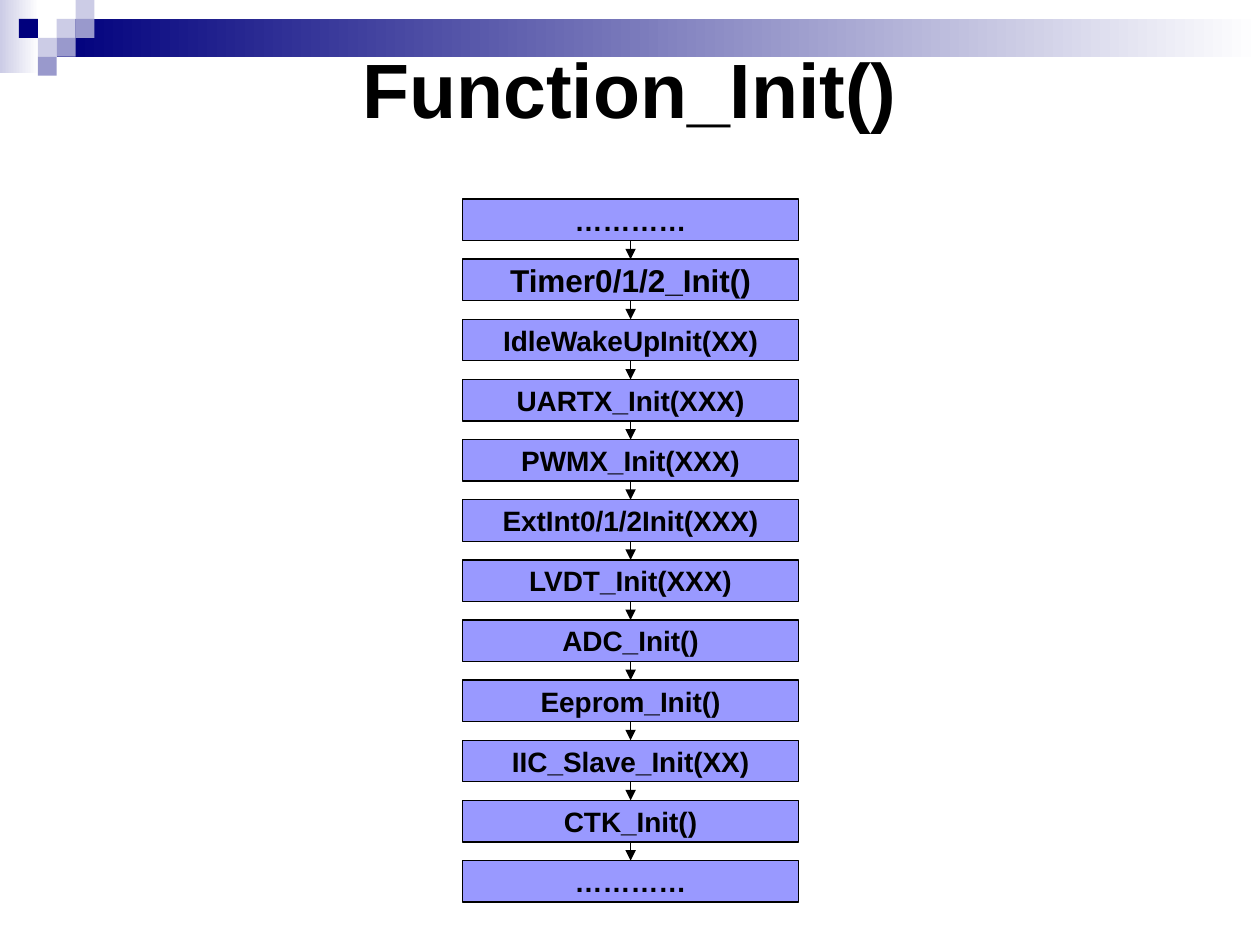
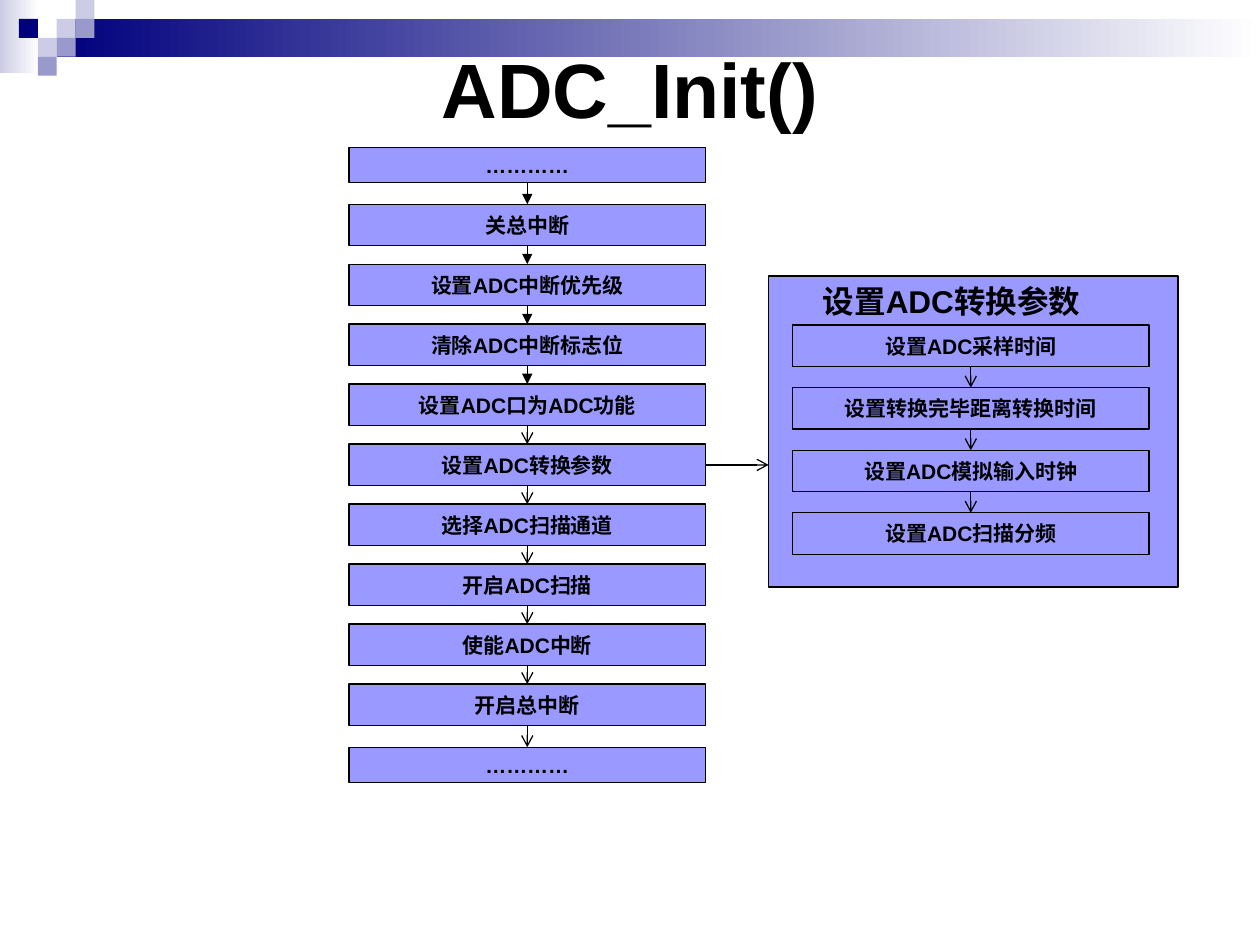
from dataclasses import dataclass
from itertools import pairwise
from lxml.etree import SubElement
from pptx import Presentation
from pptx.dml.color import RGBColor
from pptx.enum.shapes import MSO_CONNECTOR, MSO_SHAPE
from pptx.enum.text import MSO_ANCHOR, PP_ALIGN
from pptx.oxml.ns import qn
from pptx.util import Inches, Pt

COLUMNS, ROWS = 100, 75
WIDTH, HEIGHT = Inches(10), Inches(7.5)
FONT = "Arial"
INK, NAVY, LILAC, MAUVE = "000000", "00007D", "CCCCE6", "9999CC"
STEP_FILL, WHITE = "9999FF", "FFFFFF"
STEP_HEIGHT = 3.3
LINE_WIDTH = Pt(0.75)
TOP, LEFT, BOTTOM, RIGHT = range(4)


@dataclass
class Box:
    left: float
    top: float
    width: float
    height: float

    def inner(self, left, top, width, height):
        return Box(self.left + left, self.top + top, width, height)

    def lengths(self):
        return (across(self.left), down(self.top), across(self.width), down(self.height))


SLIDE_BOX = Box(0, 0, COLUMNS, ROWS)


def across(columns):
    return round(WIDTH * columns / COLUMNS)


def down(rows):
    return round(HEIGHT * rows / ROWS)


def color(hex_text):
    return RGBColor.from_string(hex_text)


def write(shape, text, size, align=PP_ALIGN.CENTER, anchor=MSO_ANCHOR.MIDDLE,
          wrap=False, margin_left=1, margin_top=0.5, margin_bottom=0.5):
    frame = shape.text_frame
    frame.word_wrap = wrap
    frame.vertical_anchor = anchor
    frame.margin_left, frame.margin_right = across(margin_left), across(1)
    frame.margin_top, frame.margin_bottom = down(margin_top), down(margin_bottom)
    paragraph = frame.paragraphs[0]
    paragraph.alignment = align
    run = paragraph.add_run()
    run.text = text
    run.font.name, run.font.size, run.font.bold = FONT, Pt(size), True
    run.font.color.rgb = color(INK)


def add_rectangle(slide, box, fill, fade_to=None, outline=None):
    shape = slide.shapes.add_shape(MSO_SHAPE.RECTANGLE, *box.lengths())
    shape.shadow.inherit = False
    if fade_to:
        shape.fill.gradient()
        shape.fill.gradient_angle = 0
        for stop, stop_color in zip(shape.fill.gradient_stops, (fill, fade_to)):
            stop.color.rgb = color(stop_color)
    else:
        shape.fill.solid()
        shape.fill.fore_color.rgb = color(fill)
    if outline:
        shape.line.color.rgb = color(outline)
        shape.line.width = LINE_WIDTH
    else:
        shape.line.fill.background()
    return shape


def add_arrow(slide, source, side, head, target=None, target_side=None, end=(0, 0)):
    connector = slide.shapes.add_connector(MSO_CONNECTOR.STRAIGHT, 0, 0, *end)
    connector.begin_connect(source, side)
    if target is not None:
        connector.end_connect(target, target_side)
    connector.line.color.rgb = color(INK)
    connector.line.width = LINE_WIDTH
    SubElement(connector.line._get_or_add_ln(), qn("a:tailEnd"), type=head)
    SubElement(connector._element.spPr, qn("a:effectLst"))


def add_header(slide, box, title):
    square = 1.5
    add_rectangle(slide, box.inner(0, 0, 3.1, 5.8), LILAC, fade_to=WHITE)
    add_rectangle(slide, box.inner(4.5, square, box.width - 4.5, 2 * square), NAVY, fade_to=WHITE)
    for column, row, fill in ((3, 1, LILAC), (4, 0, LILAC), (4, 1, MAUVE), (2, 2, LILAC),
                              (1, 1, NAVY), (3, 2, MAUVE), (2, 3, MAUVE)):
        add_rectangle(slide, box.inner(column * square, row * square, square, square), fill)
    title_box = slide.shapes.add_textbox(*box.inner(5, 5, box.width - 10, 3.3).lengths())
    write(title_box, title, 44, wrap=True, margin_top=0.7, margin_bottom=0)


def add_flow(slide, box, labels, size, heads, end_height=STEP_HEIGHT, sizes=None):
    sizes = sizes or {}
    last = len(labels) - 1
    pitch = (box.height - STEP_HEIGHT) / last
    steps = []
    for index, label in enumerate(labels):
        height = end_height if index in (0, last) else STEP_HEIGHT
        top = index * pitch + (STEP_HEIGHT - height) / 2
        step = add_rectangle(slide, box.inner(0, top, box.width, height), STEP_FILL, outline=INK)
        write(step, label, sizes.get(index, size))
        steps.append(step)
    for (upper, lower), head in zip(pairwise(steps), heads):
        add_arrow(slide, upper, BOTTOM, head, lower, TOP)
    return steps


def add_detail_panel(slide, box, title, labels):
    panel = add_rectangle(slide, box, STEP_FILL, outline=INK)
    write(panel, title, 18, align=PP_ALIGN.LEFT, anchor=MSO_ANCHOR.TOP,
          wrap=True, margin_left=4.3)
    add_flow(slide, box.inner(1.9, 3.9, 28.3, 18.2), labels, 12, ["arrow"] * (len(labels) - 1))
    return panel


def new_slide(presentation, title):
    slide = presentation.slides.add_slide(presentation.slide_layouts[6])
    add_header(slide, SLIDE_BOX, title)
    return slide


def function_init_slide(presentation):
    slide = new_slide(presentation, "Function_Init()")
    labels = ["…………", "Timer0/1/2_Init()", "IdleWakeUpInit(XX)", "UARTX_Init(XXX)",
              "PWMX_Init(XXX)", "ExtInt0/1/2Init(XXX)", "LVDT_Init(XXX)", "ADC_Init()",
              "Eeprom_Init()", "IIC_Slave_Init(XX)", "CTK_Init()", "…………"]
    add_flow(slide, SLIDE_BOX.inner(36.7, 15.8, 26.7, 55.8), labels, 16,
             ["triangle"] * (len(labels) - 1), sizes={1: 18})


def adc_init_slide(presentation):
    slide = new_slide(presentation, "ADC_Init()")
    detail = "设置ADC转换参数"
    labels = ["…………", "关总中断", "设置ADC中断优先级", "清除ADC中断标志位",
              "设置ADC口为ADC功能", detail, "选择ADC扫描通道", "开启ADC扫描",
              "使能ADC中断", "开启总中断", "…………"]
    steps = add_flow(slide, SLIDE_BOX.inner(27.7, 11.45, 28.3, 50.9), labels, 12,
                     ["triangle"] * 4 + ["arrow"] * 6, end_height=2.8)
    panel = add_detail_panel(slide, SLIDE_BOX.inner(61, 21.9, 32.5, 24.7), detail,
                             ["设置ADC采样时间", "设置转换完毕距离转换时间",
                              "设置ADC模拟输入时钟", "设置ADC扫描分频"])
    source = steps[labels.index(detail)]
    add_arrow(slide, source, RIGHT, "arrow",
              end=(panel.left, source.top + source.height // 2))


def main():
    presentation = Presentation()
    presentation.slide_width, presentation.slide_height = WIDTH, HEIGHT
    function_init_slide(presentation)
    adc_init_slide(presentation)
    presentation.save("out.pptx")


if __name__ == "__main__":
    main()
